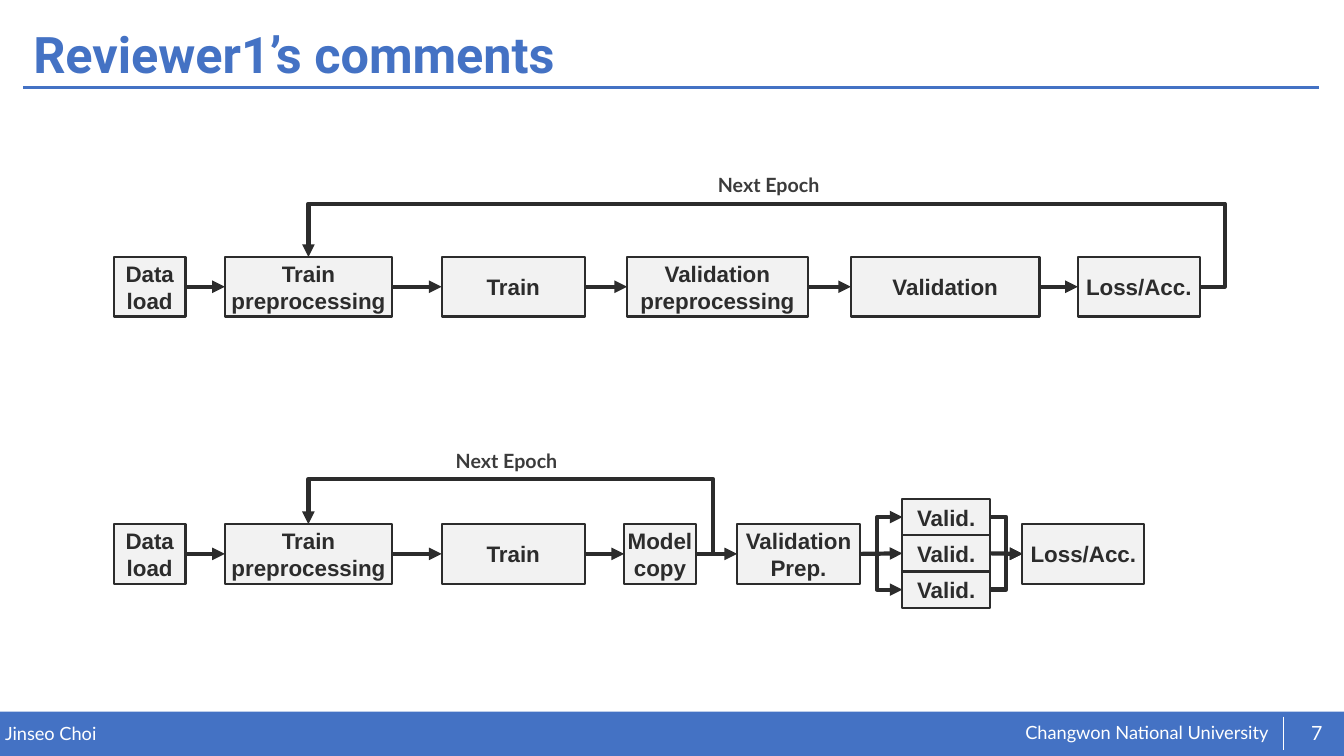
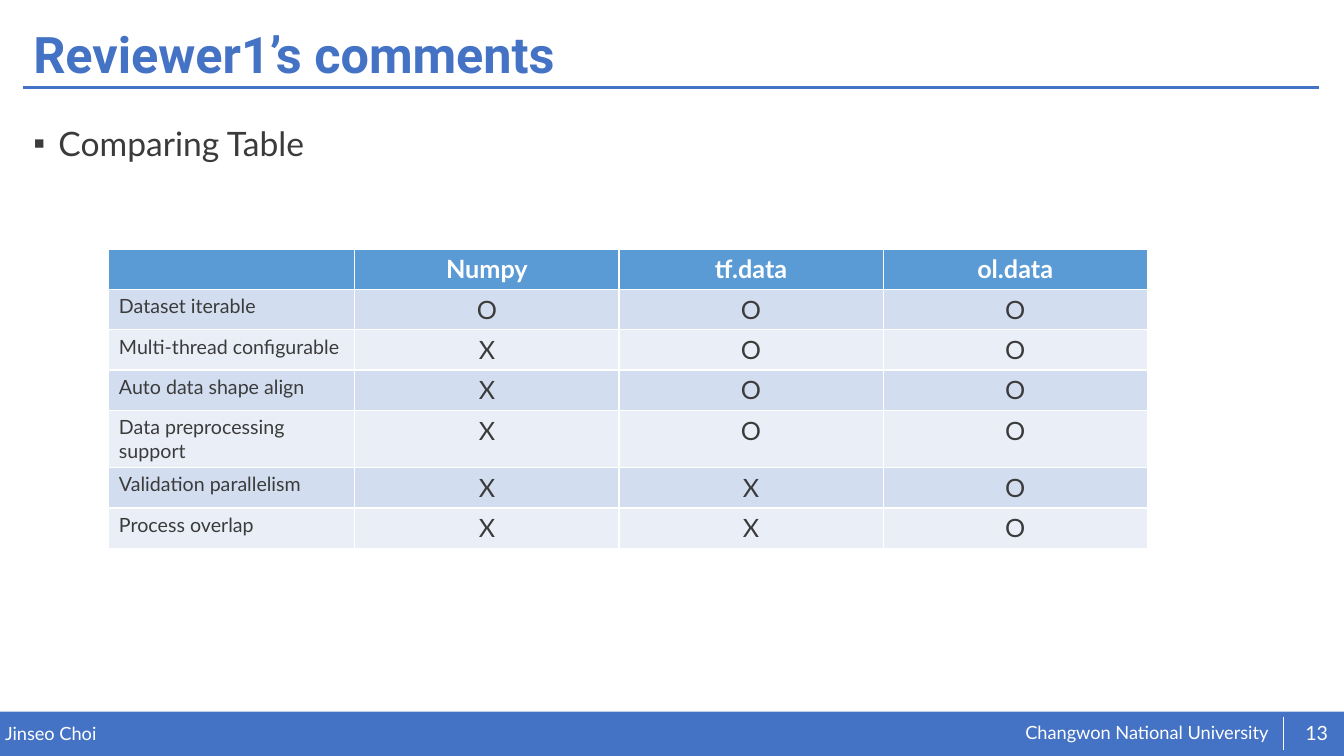
from lxml import etree
from pptx import Presentation
from pptx import util as u
from pptx.dml import color
from pptx.enum import shapes, text
from pptx.oxml import ns

BLUE, WHITE, INK, BODY = "4472C4", "FFFFFF", "2C2C2C", "3B3B3B"
BOX_FILL, HEADER_FILL, BANDS = "F2F2F2", "5B9BD5", ("D2DEEF", "EAEFF7")
SLIDE_W, SLIDE_H = 13.33, 7.5
TITLE_LAYOUT, LIST_LAYOUT = 5, 1
TOP, LEFT, RIGHT = 0, 1, 3  # connection sites of a box
ALIGN = text.PP_ALIGN


def rgb(value):
    return color.RGBColor.from_string(value)


def inches(*lengths):
    return [u.Inches(length) for length in lengths]


def place(part, left, top, width, height):
    part.left, part.top, part.width, part.height = inches(left, top, width, height)


def style(paragraph, size, shade, face="Lato", bold=False, align=ALIGN.LEFT):
    paragraph.alignment = align
    font = paragraph.font
    font.name, font.size, font.bold = face, u.Pt(size), bold
    font.color.rgb = rgb(shade)


def set_margins(frame, margin=0):
    frame.margin_left = frame.margin_right = u.Inches(margin)
    frame.margin_top = frame.margin_bottom = u.Inches(margin)


def add_label(slide, box, words, size, shade, bold=False, align=ALIGN.LEFT, margin=0,
              anchor=text.MSO_ANCHOR.TOP):
    frame = slide.shapes.add_textbox(*inches(*box)).text_frame
    frame.word_wrap = True
    frame.vertical_anchor = anchor
    set_margins(frame, margin)
    frame.text = words
    style(frame.paragraphs[0], size, shade, bold=bold, align=align)


def add_line(slide, start, end, shade, width, kind=shapes.MSO_CONNECTOR.STRAIGHT):
    line = slide.shapes.add_connector(kind, *inches(*start, *end))
    line.line.color.rgb = rgb(shade)
    line.line.width = u.Pt(width)
    etree.SubElement(line._element.spPr, ns.qn("a:effectLst"))
    return line


# Shared frame: title, rule and footer band
def add_footer(slide, number, top=7.06):
    band = slide.shapes.add_shape(shapes.MSO_SHAPE.RECTANGLE,
                                  *inches(0, top, SLIDE_W, SLIDE_H - top))
    band.shadow.inherit = False
    band.fill.solid()
    band.fill.fore_color.rgb = rgb(BLUE)
    band.line.fill.background()
    add_label(slide, (0.05, top + 0.11, 6.55, 0.22), "Jinseo Choi", 13, WHITE)
    add_label(slide, (10.17, top + 0.1, 2.5, 0.23), "Changwon National University", 13, WHITE)
    add_line(slide, (12.73, top + 0.05), (12.73, top + 0.38), WHITE, 0.5)
    add_label(slide, (12.82, top + 0.01, 0.48, 0.4), str(number), 14, WHITE,
              align=ALIGN.CENTER, anchor=text.MSO_ANCHOR.MIDDLE)


def new_slide(deck, layout, title, number):
    slide = deck.slides.add_slide(deck.slide_layouts[layout])
    heading = slide.shapes.title
    place(heading, 0.23, 0.18, 12.86, 0.77)
    frame = heading.text_frame
    frame.text = title
    frame.auto_size = text.MSO_AUTO_SIZE.NONE
    frame.vertical_anchor = text.MSO_ANCHOR.MIDDLE
    frame.paragraphs[0].line_spacing = 0.9
    style(frame.paragraphs[0], 36, BLUE, "Roboto", bold=True)
    add_line(slide, (0.23, 0.87), (13.08, 0.87), BLUE, 2)
    add_footer(slide, number)
    return slide


# Flow chart parts
def add_step(slide, box, words):
    step = slide.shapes.add_shape(shapes.MSO_SHAPE.FLOWCHART_PROCESS, *inches(*box))
    step.shadow.inherit = False
    step.fill.solid()
    step.fill.fore_color.rgb = rgb(BOX_FILL)
    step.line.color.rgb = rgb(INK)
    step.line.width = u.Pt(1.5)
    frame = step.text_frame
    frame.word_wrap = True
    frame.vertical_anchor = text.MSO_ANCHOR.MIDDLE
    set_margins(frame)
    frame.text = words
    for paragraph in frame.paragraphs:
        style(paragraph, 16, INK, "Arial", bold=True, align=ALIGN.CENTER)
    return step


def add_arrow(slide, source, target, site=LEFT, kind=shapes.MSO_CONNECTOR.STRAIGHT):
    arrow = add_line(slide, (0, 0), (0, 0), INK, 3, kind)
    arrow.begin_connect(source, RIGHT)
    arrow.end_connect(target, site)
    etree.SubElement(arrow.line._get_or_add_ln(), ns.qn("a:tailEnd"), type="triangle")
    return arrow


def add_elbow(slide, source, target, turn_x, rise_y=None):
    """Turn at turn_x; with rise_y, run along that height and enter from above."""
    arrow = add_arrow(slide, source, target, LEFT if rise_y is None else TOP,
                      shapes.MSO_CONNECTOR.ELBOW)
    bends = [(u.Inches(turn_x) - arrow.begin_x) / (arrow.end_x - arrow.begin_x)]
    if rise_y is not None:
        bends.append((u.Inches(rise_y) - arrow.begin_y) / (arrow.end_y - arrow.begin_y))
    outline = arrow._element.spPr.find(ns.qn("a:prstGeom"))
    outline.set("prst", f"bentConnector{len(bends) + 2}")
    guides = outline.find(ns.qn("a:avLst"))
    if guides is None:
        guides = etree.SubElement(outline, ns.qn("a:avLst"))
    for index, bend in enumerate(bends, 1):
        etree.SubElement(guides, ns.qn("a:gd"), name=f"adj{index}",
                         fmla=f"val {round(bend * 100000)}")


def add_pipeline(slide, top, stages, height=0.59):
    steps = [add_step(slide, (left, top, width, height), words)
             for left, width, words in stages]
    for source, target in zip(steps, steps[1:]):
        add_arrow(slide, source, target)
    return steps


def add_epoch_loop(slide, last, first, turn_x, rise_y, label_x):
    add_elbow(slide, last, first, turn_x, rise_y)
    add_label(slide, (label_x, rise_y - 0.35, 1.79, 0.34), "Next Epoch", 14, BODY,
              bold=True, margin=0.05)


def add_parallel_validation(slide, source, target, left, top, width=0.87, height=0.36):
    for index in range(3):
        check = add_step(slide, (left, top + index * height, width, height), "Valid.")
        if index == 1:
            add_arrow(slide, source, check)
            add_arrow(slide, check, target)
        else:
            add_elbow(slide, source, check, left - 0.25)
            add_elbow(slide, check, target, left + width + 0.16)


def build_pipelines(deck):
    slide = new_slide(deck, TITLE_LAYOUT, "Reviewer1’s comments", 7)
    shared = [(1.13, 0.71, "Data load"), (2.23, 1.66, "Train\npreprocessing"),
              (4.38, 1.42, "Train")]

    # Sequential validation
    steps = add_pipeline(slide, 2.55, shared + [
        (6.22, 1.79, "Validation\npreprocessing"), (8.44, 1.87, "Validation"),
        (10.69, 1.21, "Loss/Acc.")])
    add_epoch_loop(slide, steps[-1], steps[1], 12.15, 2.02, 7.07)

    # Parallel validation
    top = 5.2
    steps = add_pipeline(slide, top, shared + [
        (6.19, 0.71, "Model\ncopy"), (7.31, 1.22, "Validation\nPrep.")])
    loss = add_step(slide, (10.14, top, 1.21, 0.59), "Loss/Acc.")
    add_parallel_validation(slide, steps[-1], loss, 8.95, top - 0.25)
    add_epoch_loop(slide, steps[3], steps[1], 7.07, 4.75, 4.47)


# Comparison slide
def add_bullet_list(body, items):
    place(body, 0.23, 1.01, 12.86, 5.63)
    frame = body.text_frame
    frame.text = "\n".join(items)
    frame.auto_size = text.MSO_AUTO_SIZE.NONE
    for paragraph in frame.paragraphs:
        paragraph.line_spacing = 1.4
        paragraph.space_before = u.Pt(0)
        props = paragraph._p.get_or_add_pPr()
        props.set("marL", str(u.Inches(0.25)))
        props.set("indent", str(u.Inches(-0.25)))
        etree.SubElement(props, ns.qn("a:buChar"), char="▪")
        style(paragraph, 24, BODY)


def add_comparison(slide, left, top, widths, header, features, row_height=0.32):
    rows = [("", *header)] + [(name, *marks) for name, marks in features]
    table = slide.shapes.add_table(
        len(rows), len(widths),
        *inches(left, top, sum(widths), row_height * len(rows))).table
    for column, width in zip(table.columns, widths):
        column.width = u.Inches(width)
    for r, row in enumerate(rows):
        table.rows[r].height = u.Inches(row_height)
        for c, words in enumerate(row):
            cell = table.cell(r, c)
            cell.fill.solid()
            cell.fill.fore_color.rgb = rgb(BANDS[(r - 1) % 2] if r else HEADER_FILL)
            cell.text = words
            style(cell.text_frame.paragraphs[0], 14 if r and not c else 18,
                  BODY if r else WHITE, bold=not r,
                  align=ALIGN.CENTER if c else ALIGN.LEFT)


def build_comparison(deck):
    slide = new_slide(deck, LIST_LAYOUT, "Reviewer1’s comments", 13)
    add_bullet_list(slide.placeholders[1], ["Comparing Table"])
    add_comparison(slide, 1.08, 2.47, [2.44] + [2.62] * 3,
                   ["Numpy", "tf.data", "ol.data"],
                   [("Dataset iterable", "OOO"),
                    ("Multi-thread configurable", "XOO"),
                    ("Auto data shape align", "XOO"),
                    ("Data preprocessing support", "XOO"),
                    ("Validation parallelism", "XXO"),
                    ("Process overlap", "XXO")])


def main():
    deck = Presentation()
    deck.slide_width, deck.slide_height = inches(SLIDE_W, SLIDE_H)
    build_pipelines(deck)
    build_comparison(deck)
    deck.save("out.pptx")


if __name__ == "__main__":
    main()
